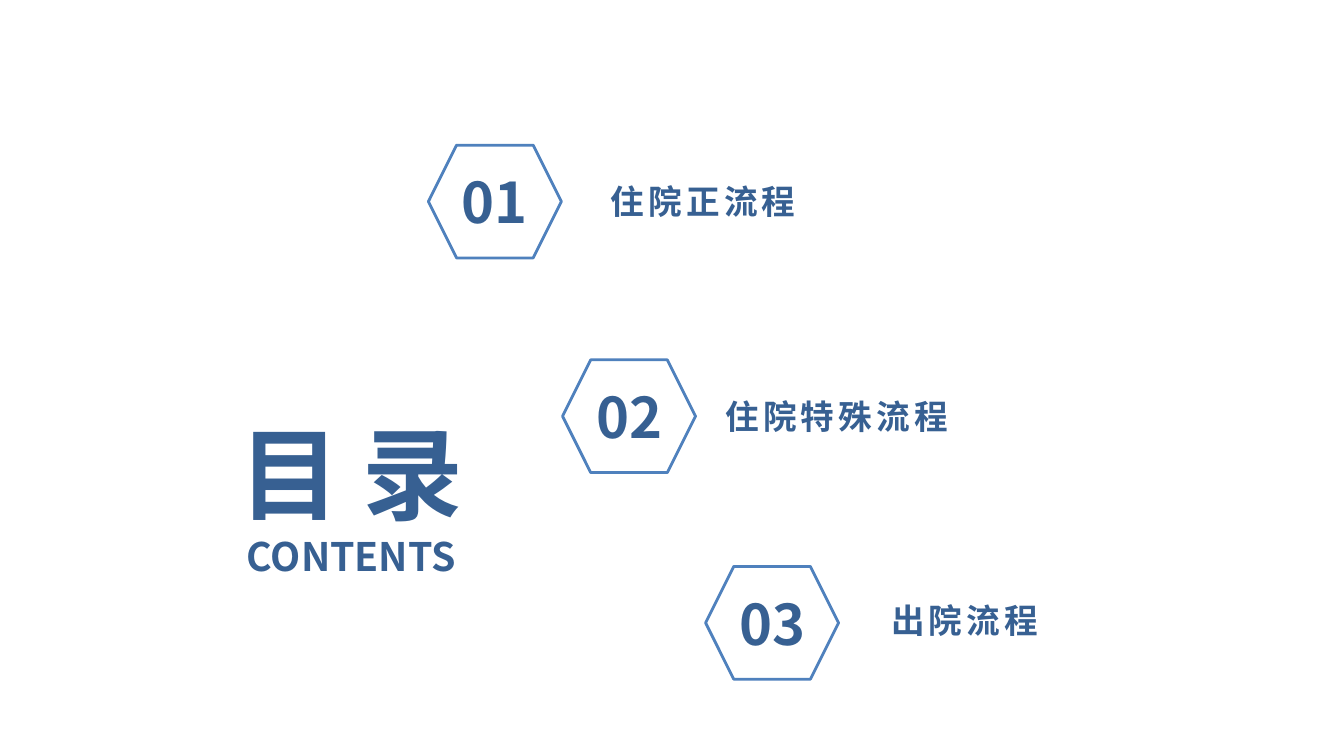
from dataclasses import dataclass

import pptx
import pptx.dml.color
import pptx.enum.shapes
import pptx.enum.text
import pptx.oxml.ns
import pptx.shapes.group
import pptx.shapes.shapetree
import pptx.text.text
import pptx.util
from lxml import etree

Pt = pptx.util.Pt
FONT = "Noto Sans CJK SC"
DARK_BLUE = pptx.dml.color.RGBColor(0x37, 0x60, 0x92)
OUTLINE_BLUE = pptx.dml.color.RGBColor(0x4F, 0x81, 0xBD)
WHITE = pptx.dml.color.RGBColor(0xFF, 0xFF, 0xFF)

HEXAGON_WIDTH, HEXAGON_HEIGHT = 95, 80.6
NUMBER_WIDTH, NUMBER_HEIGHT = 79, 55.4
LABEL_HEIGHT = 36


@dataclass
class Section:
    number: str
    label: str
    left: float
    top: float
    label_left: float
    label_top: float
    label_width: float


SECTIONS = [
    Section("01", "住院正流程", 306, 103.7, 399.6, 126, 205.2),
    Section("02", "住院特殊流程", 401.8, 257, 475.2, 279.4, 244.8),
    Section("03", "出院流程", 504, 404.6, 580.3, 424.8, 217.4),
]


def write_text(paragraph: pptx.text.text._Paragraph, text: str, *, size: float,
               spacing: float = 0, line_spacing: float = 1) -> None:
    """Write bold, centred dark blue text; spacing is between letters, in points."""
    paragraph.alignment = pptx.enum.text.PP_ALIGN.CENTER
    paragraph.line_spacing = line_spacing
    run = paragraph.add_run()
    run.text = text
    run.font.name = FONT
    run.font.size = Pt(size)
    run.font.bold = True
    run.font.color.rgb = DARK_BLUE
    properties = run._r.get_or_add_rPr()
    etree.SubElement(properties, pptx.oxml.ns.qn("a:ea"), typeface=FONT)
    if spacing:
        properties.set("spc", str(round(spacing * 100)))


def add_label(group: pptx.shapes.group.GroupShape, text: str, left: float, top: float,
              width: float, height: float, *, size: float, spacing: float = 0) -> None:
    box = group.shapes.add_textbox(Pt(left), Pt(top), Pt(width), Pt(height))
    box.text_frame.word_wrap = True
    write_text(box.text_frame.paragraphs[0], text, size=size, spacing=spacing)


def add_section(shapes: pptx.shapes.shapetree.SlideShapes, section: Section) -> None:
    group = shapes.add_group_shape()
    hexagon = group.shapes.add_shape(
        pptx.enum.shapes.MSO_SHAPE.HEXAGON, Pt(section.left), Pt(section.top),
        Pt(HEXAGON_WIDTH), Pt(HEXAGON_HEIGHT))
    hexagon.shadow.inherit = False
    hexagon.fill.solid()
    hexagon.fill.fore_color.rgb = WHITE
    hexagon.line.color.rgb = OUTLINE_BLUE
    hexagon.line.width = Pt(2)

    # The number sits in the middle of its hexagon
    add_label(group, section.number,
              section.left + (HEXAGON_WIDTH - NUMBER_WIDTH) / 2,
              section.top + (HEXAGON_HEIGHT - NUMBER_HEIGHT) / 2,
              NUMBER_WIDTH, NUMBER_HEIGHT, size=40)
    add_label(group, section.label, section.label_left, section.label_top,
              section.label_width, LABEL_HEIGHT, size=24, spacing=3)


def main() -> None:
    presentation = pptx.Presentation()
    presentation.slide_width = Pt(960)
    presentation.slide_height = Pt(540)
    slide = presentation.slides.add_slide(presentation.slide_layouts.get_by_name("Title Only"))

    # Title
    title = slide.shapes.title
    title.left, title.top, title.width, title.height = Pt(153.4), Pt(247), Pt(195.1), Pt(172.1)
    frame = title.text_frame
    frame.auto_size = pptx.enum.text.MSO_AUTO_SIZE.NONE
    frame.vertical_anchor = pptx.enum.text.MSO_ANCHOR.TOP
    frame.word_wrap = False
    write_text(frame.paragraphs[0], "目 录", size=72, line_spacing=1.5)
    write_text(frame.add_paragraph(), "CONTENTS", size=28)

    # Numbered sections
    for section in SECTIONS:
        add_section(slide.shapes, section)

    presentation.save("out.pptx")


if __name__ == "__main__":
    main()
